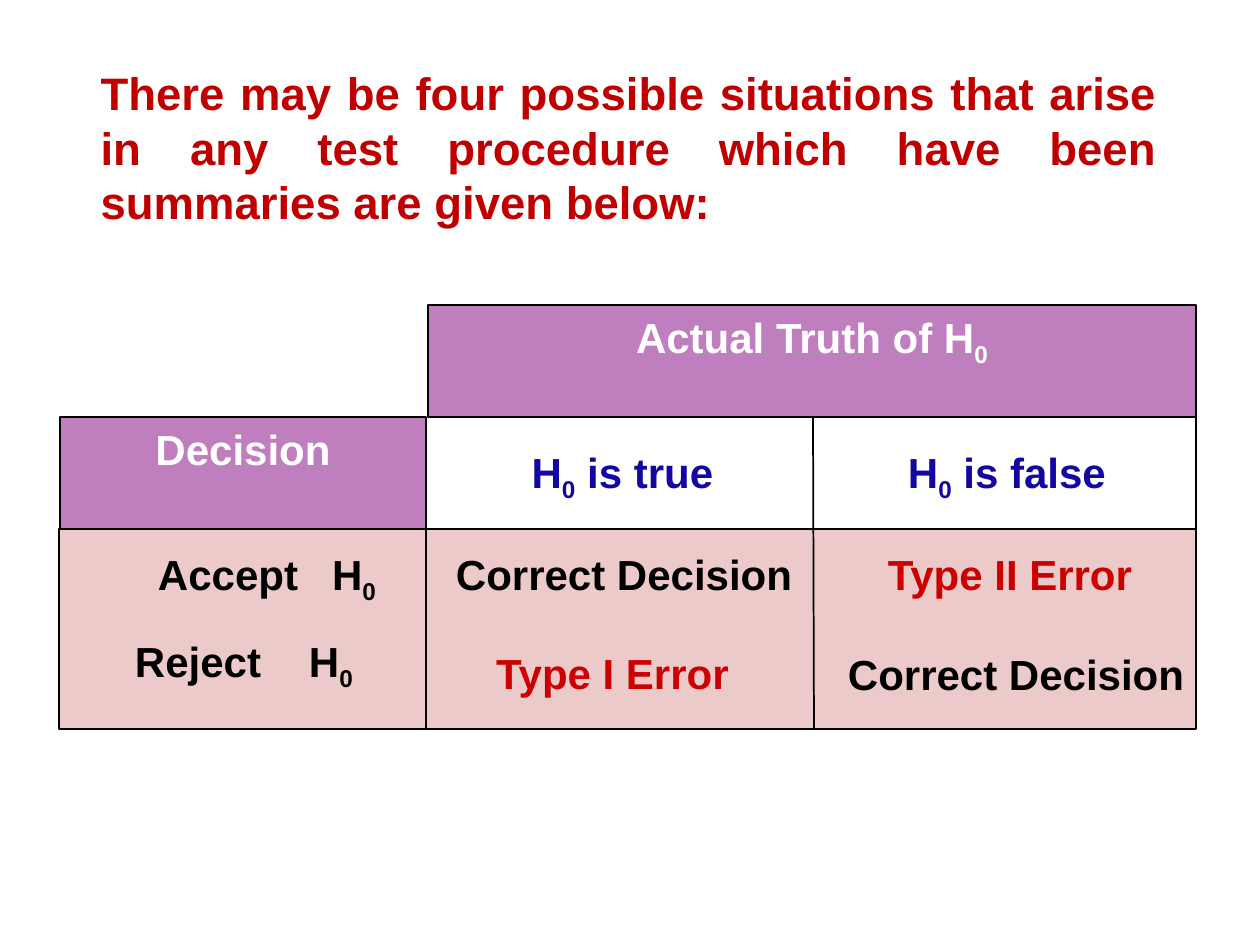
from lxml.etree import SubElement
from pptx import Presentation
from pptx.dml.color import RGBColor
from pptx.enum.shapes import MSO_CONNECTOR, MSO_SHAPE
from pptx.enum.text import MSO_ANCHOR, MSO_AUTO_SIZE, PP_ALIGN
from pptx.oxml.ns import qn
from pptx.util import Emu, Pt

COLOURS = {
    "heading": "C00000",
    "header_fill": "800080",
    "body_fill": "C0504D",
    "header_text": "FFFFFF",
    "hypothesis": "1207A1",
    "correct": "000000",
    "error": "CC0000",
    "border": "000000",
}
FONT = "Arial"
SUBSCRIPT = "-25000"
LEFT, TRUE_EDGE, FALSE_EDGE, RIGHT = 60, 426, 813, 1196
TOP, STATES_TOP, OUTCOMES_TOP, BOTTOM = 305, 417, 529, 729
TRUE_LEFT, FALSE_LEFT = 433, 825


def px(length):
    """Turn pixels into EMU."""
    return Emu(round(length * 914400 / 126))


def colour(role):
    """Return the colour of a role."""
    return RGBColor.from_string(COLOURS[role])


def write(frame, parts, role, size=24, align=PP_ALIGN.CENTER):
    """Write a bold paragraph in which every second part is a subscript."""
    frame.word_wrap = True
    frame.vertical_anchor = MSO_ANCHOR.TOP
    frame.text = parts[0]
    paragraph = frame.paragraphs[0]
    paragraph.alignment = align
    for part in parts[1:]:
        paragraph.add_run().text = part
    for index, run in enumerate(paragraph.runs):
        run.font.name = FONT
        run.font.size = Pt(size)
        run.font.bold = True
        run.font.color.rgb = colour(role)
        if index % 2:
            run.font._element.set("baseline", SUBSCRIPT)
    return paragraph


def add_heading(slide, wording):
    """Place the justified heading in the title placeholder."""
    heading = slide.shapes.title
    heading.left, heading.top = px(88), px(59)
    heading.width, heading.height = px(1082), px(178)
    write(heading.text_frame, [wording], "heading", 26, PP_ALIGN.JUSTIFY)
    heading.text_frame.auto_size = MSO_AUTO_SIZE.SHAPE_TO_FIT_TEXT


def add_panel(slide, left, top, right, bottom, role, opacity, parts=None):
    """Draw a translucent, outlined panel with an optional header."""
    panel = slide.shapes.add_shape(
        MSO_SHAPE.RECTANGLE, px(left), px(top), px(right - left), px(bottom - top)
    )
    panel.shadow.inherit = False
    panel.fill.solid()
    panel.fill.fore_color.rgb = colour(role)
    tint = panel._element.spPr.find(qn("a:solidFill"))[0]
    SubElement(tint, qn("a:alpha")).set("val", str(opacity * 1000))
    panel.line.color.rgb = colour("border")
    panel.line.width = Pt(0.75)
    if parts:
        write(panel.text_frame, parts, "header_text")


def add_label(slide, left, top, width, parts, role, align=PP_ALIGN.CENTER):
    """Add a label of one line and return its text frame."""
    label = slide.shapes.add_textbox(px(left), px(top), px(width), px(65))
    write(label.text_frame, parts, role, align=align)
    label.text_frame.auto_size = MSO_AUTO_SIZE.SHAPE_TO_FIT_TEXT
    return label.text_frame


def add_decision(slide, top, width, inset, verb):
    """Add a decision whose hypothesis stands at a tab stop."""
    parts = [f"{verb}\tH", "0"]
    frame = add_label(slide, 74, top, width, parts, "correct", PP_ALIGN.LEFT)
    frame.margin_left = px(inset)
    properties = frame.paragraphs[0]._p.get_or_add_pPr()
    stop = SubElement(SubElement(properties, qn("a:tabLst")), qn("a:tab"))
    stop.set("pos", str(px(174)))
    stop.set("algn", "l")


def add_divider(slide, x1, y1, x2, y2, weight=0.75):
    """Draw a line between two table columns."""
    divider = slide.shapes.add_connector(
        MSO_CONNECTOR.STRAIGHT, px(x1), px(y1), px(x2), px(y2)
    )
    divider.line.color.rgb = colour("border")
    divider.line.width = Pt(weight)
    SubElement(divider._element.spPr, qn("a:effectLst"))


def main():
    """Build the slide on decisions and errors."""
    deck = Presentation()
    deck.slide_width, deck.slide_height = px(1260), px(945)
    slide = deck.slides.add_slide(deck.slide_layouts[5])
    add_heading(
        slide,
        "There may be four possible situations that arise in any test "
        "procedure which have been summaries are given below:",
    )

    add_panel(slide, LEFT - 1, OUTCOMES_TOP, RIGHT, BOTTOM, "body_fill", 30)
    add_panel(slide, TRUE_EDGE + 2, TOP, RIGHT, STATES_TOP, "header_fill", 50,
              ["Actual Truth of H", "0"])
    add_panel(slide, LEFT, STATES_TOP, TRUE_EDGE, OUTCOMES_TOP, "header_fill", 50,
              ["Decision"])

    for left, width, state in (
        (TRUE_LEFT, 379, " is true"),
        (FALSE_LEFT, 364, " is false"),
    ):
        add_label(slide, left, 440, width, ["H", "0", state], "hypothesis")

    add_decision(slide, 542, 386, 84, "Accept")
    add_decision(slide, 629, 338, 61, "Reject")

    for left, top, width, outcome, role in (
        (TRUE_LEFT, 542, 382, "Correct Decision", "correct"),
        (FALSE_LEFT, 542, 370, "Type II Error", "error"),
        (TRUE_LEFT, 641, 359, "Type I Error", "error"),
        (FALSE_LEFT, 642, 382, "Correct Decision", "correct"),
    ):
        add_label(slide, left, top, width, [outcome], role)

    add_divider(slide, FALSE_EDGE + 1, BOTTOM, FALSE_EDGE, STATES_TOP, 1)
    add_divider(slide, TRUE_EDGE, OUTCOMES_TOP, TRUE_EDGE, BOTTOM)
    add_divider(slide, RIGHT, STATES_TOP, RIGHT, OUTCOMES_TOP)
    deck.save("out.pptx")


if __name__ == "__main__":
    main()
